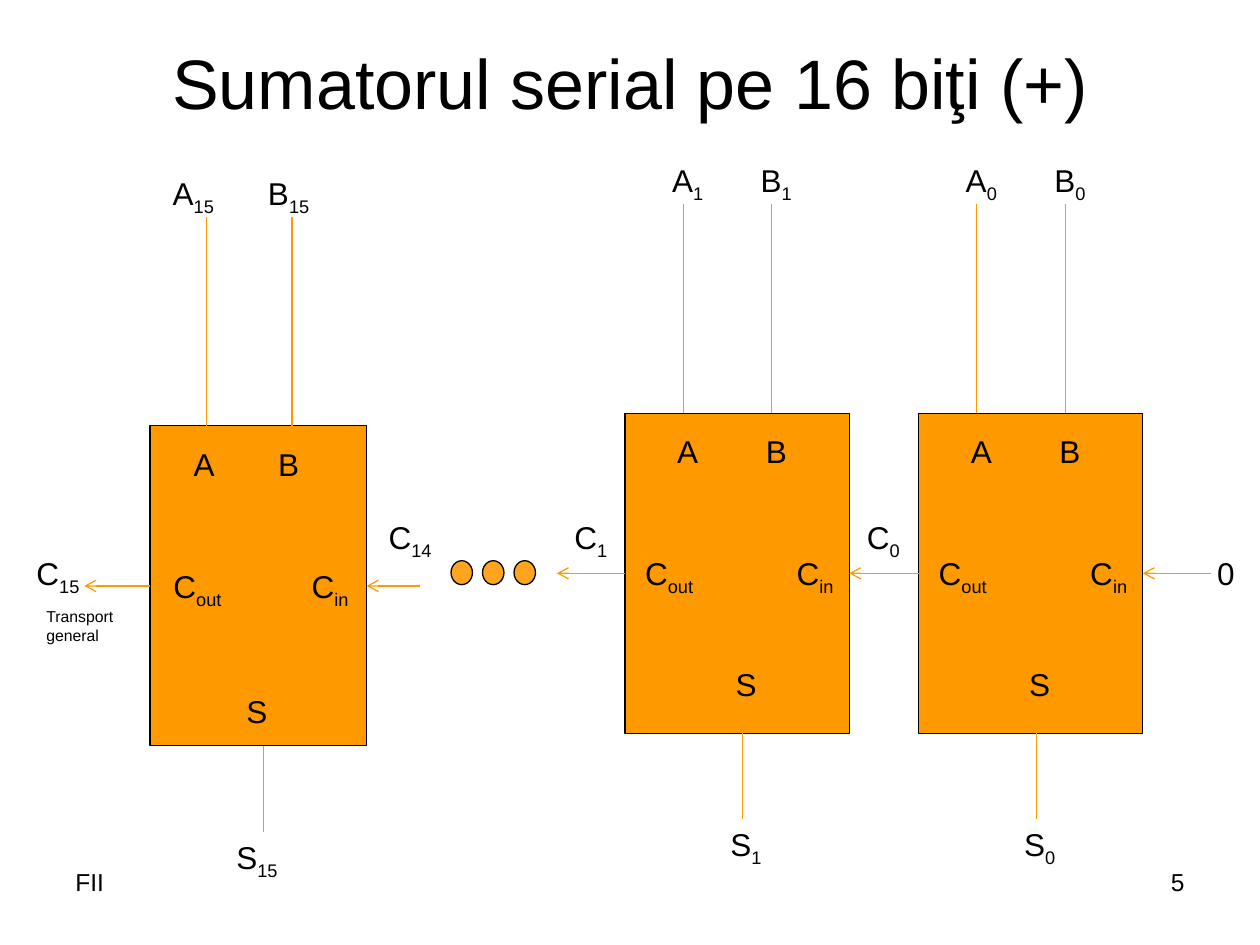
from collections import namedtuple

from lxml import etree
from pptx import Presentation
from pptx.dml.color import RGBColor
from pptx.enum.shapes import MSO_CONNECTOR, MSO_SHAPE
from pptx.enum.text import MSO_ANCHOR, MSO_AUTO_SIZE, PP_ALIGN
from pptx.oxml.ns import qn
from pptx.util import Inches, Pt

STRAIGHT = MSO_CONNECTOR.STRAIGHT
RECTANGLE, OVAL = MSO_SHAPE.RECTANGLE, MSO_SHAPE.OVAL
LEFT, CENTER, RIGHT = PP_ALIGN.LEFT, PP_ALIGN.CENTER, PP_ALIGN.RIGHT
MIDDLE, TOP = MSO_ANCHOR.MIDDLE, MSO_ANCHOR.TOP
FIT_SHAPE = MSO_AUTO_SIZE.SHAPE_TO_FIT_TEXT

BLACK = RGBColor(0x00, 0x00, 0x00)
ORANGE = RGBColor(0xFF, 0x99, 0x00)
LIGHT_ORANGE = RGBColor(0xFF, 0xA4, 0x1F)

LEFT_SIDE, RIGHT_SIDE = 1, 3
LABEL_HEIGHT, SUB_LABEL_HEIGHT = 0.4, 0.44

Box = namedtuple("Box", "left top width height")
# Label centres as shares of the adder's width; sum_gap lies below the S label
Layout = namedtuple("Layout", "label_width a_outer a_inner b sum sum_gap")
LOW_BITS = Layout(0.54, 0.28, 0.28, 0.675, 0.54, 0.19)
HIGH_BIT = Layout(0.58, 0.2, 0.25, 0.64, 0.494, 0.08)


def inches(box):
    return [Inches(value) for value in box]


def add_span(para, text, size, subscript=False):
    span = para.add_run()
    span.text = text
    font_values = {"name": "Arial", "size": Pt(size)}
    for name, value in font_values.items():
        setattr(span.font, name, value)
    span.font.color.rgb = BLACK
    if subscript:
        span.font._element.set("baseline", "-25000")


def add_text(page, box, text, subscript="", size=18, align=CENTER, fit=True):
    frame = page.shapes.add_textbox(*inches(box)).text_frame
    frame.word_wrap = True
    frame.vertical_anchor = TOP
    if fit:
        frame.auto_size = FIT_SHAPE
    para = frame.paragraphs[0]
    para.alignment = align
    add_span(para, text, size)
    if subscript:
        add_span(para, subscript, size, subscript=True)


def add_label(page, left, top, width, text, subscript=""):
    height = SUB_LABEL_HEIGHT if subscript else LABEL_HEIGHT
    add_text(page, Box(left, top, width, height), text, subscript)


def add_outlined(page, kind, box, fill):
    shape = page.shapes.add_shape(kind, *inches(box))
    shape.shadow.inherit = False
    shape.fill.solid()
    shape.fill.fore_color.rgb = fill
    shape.line.color.rgb = BLACK
    shape.line.width = Pt(0.75)
    return shape


def add_wire(page, x1, y1, x2, y2, arrow=False):
    wire = page.shapes.add_connector(STRAIGHT, *inches((x1, y1, x2, y2)))
    wire.line.color.rgb = ORANGE
    wire.line.width = Pt(0.75)
    if arrow:
        etree.SubElement(wire.line._get_or_add_ln(), qn("a:tailEnd"), type="arrow")
    etree.SubElement(wire._element.spPr, qn("a:effectLst"))
    return wire


def add_title(page, text):
    title = page.shapes.title
    title.left, title.top, title.width, title.height = inches(Box(0.5, 0.3, 9, 0.69))
    frame = title.text_frame
    frame.vertical_anchor = MIDDLE
    frame.paragraphs[0].alignment = CENTER
    add_span(frame.paragraphs[0], text, 40)


def add_adder(page, box, bit, layout):
    """One full adder with its input and sum wires and labels."""
    left, top, width, height = box
    bottom, label_width = top + height, layout.label_width
    body = add_outlined(page, RECTANGLE, box, ORANGE)

    def centred_left(share):
        return left + share * width - label_width / 2

    # Inputs
    inputs = (("A", 0.26, layout.a_outer, layout.a_inner),
              ("B", 0.655, layout.b, layout.b))
    for name, wire_share, outer, inner in inputs:
        x = left + wire_share * width
        add_wire(page, x, top - 1.66, x, top)
        add_label(page, centred_left(outer), top - 2.05, label_width, name, bit)
        add_label(page, centred_left(inner), top + 0.1, label_width, name)

    # Sum
    x = left + 0.525 * width
    add_wire(page, x, bottom, x, bottom + 0.68)
    sum_left = centred_left(layout.sum)
    inner_top = bottom - LABEL_HEIGHT - layout.sum_gap
    add_label(page, sum_left, inner_top, label_width, "S")
    add_label(page, sum_left, bottom + 0.68, label_width, "S", bit)

    # Carry ports
    port_top = top + height / 2 - 0.2
    add_label(page, left, port_top, 1.3 * label_width, "C", "out")
    add_label(page, left + width - label_width, port_top, label_width, "C", "in")
    return body


def add_carry(page, start, end, y, source=None, target=None):
    """Carry arrow running left, joined to the adders it touches."""
    wire = add_wire(page, start, y, end, y, arrow=True)
    if source:
        wire.begin_connect(source, LEFT_SIDE)
    if target:
        wire.end_connect(target, RIGHT_SIDE)


def add_dots(page, box, count=3):
    """Row of dots standing for the adders left out."""
    pitch = box.width / count
    for index in range(count):
        dot = Box(box.left + index * pitch, box.top, 0.17, box.height)
        add_outlined(page, OVAL, dot, LIGHT_ORANGE)


def add_diagram(page):
    boxes = {"0": Box(7.29, 3.28, 1.78, 2.54),
             "1": Box(4.96, 3.28, 1.78, 2.54),
             "15": Box(1.19, 3.38, 1.72, 2.54)}
    adders = {bit: add_adder(page, box, bit, HIGH_BIT if bit == "15" else LOW_BITS)
              for bit, box in boxes.items()}
    low_y, high_y = 4.55, 4.65

    # Carry chain, from the lowest bit
    add_carry(page, 9.61, 9.07, low_y, target=adders["0"])
    add_carry(page, 7.29, 6.74, low_y, adders["0"], adders["1"])
    add_carry(page, 4.96, 4.42, low_y, source=adders["1"])
    add_carry(page, 3.33, 2.91, high_y, target=adders["15"])
    add_carry(page, 1.19, 0.67, high_y, source=adders["15"])
    add_dots(page, Box(3.58, 4.45, 0.75, 0.19))

    # Carry labels
    add_label(page, 9.46, 4.35, 0.54, "0")
    for left, top, width, bit in ((6.74, 4.06, 0.54, "0"), (4.42, 4.06, 0.54, "1"),
                                  (2.92, 4.06, 0.67, "14"), (0.17, 4.35, 0.58, "15")):
        add_label(page, left, top, width, "C", bit)
    add_text(page, Box(0.27, 4.77, 0.79, 0.4), "Transport general", size=9, align=LEFT)


def add_footer(page):
    for left, text, align in ((7.17, "5", RIGHT), (0.5, "FII", LEFT)):
        add_text(page, Box(left, 6.83, 2.33, 0.52), text, size=14, align=align, fit=False)


def main():
    deck = Presentation()
    deck.slide_width, deck.slide_height = Inches(10), Inches(7.5)
    page = deck.slides.add_slide(deck.slide_layouts[5])
    add_title(page, "Sumatorul serial pe 16 biţi (+)")
    add_diagram(page)
    add_footer(page)
    deck.save("out.pptx")


if __name__ == "__main__":
    main()
